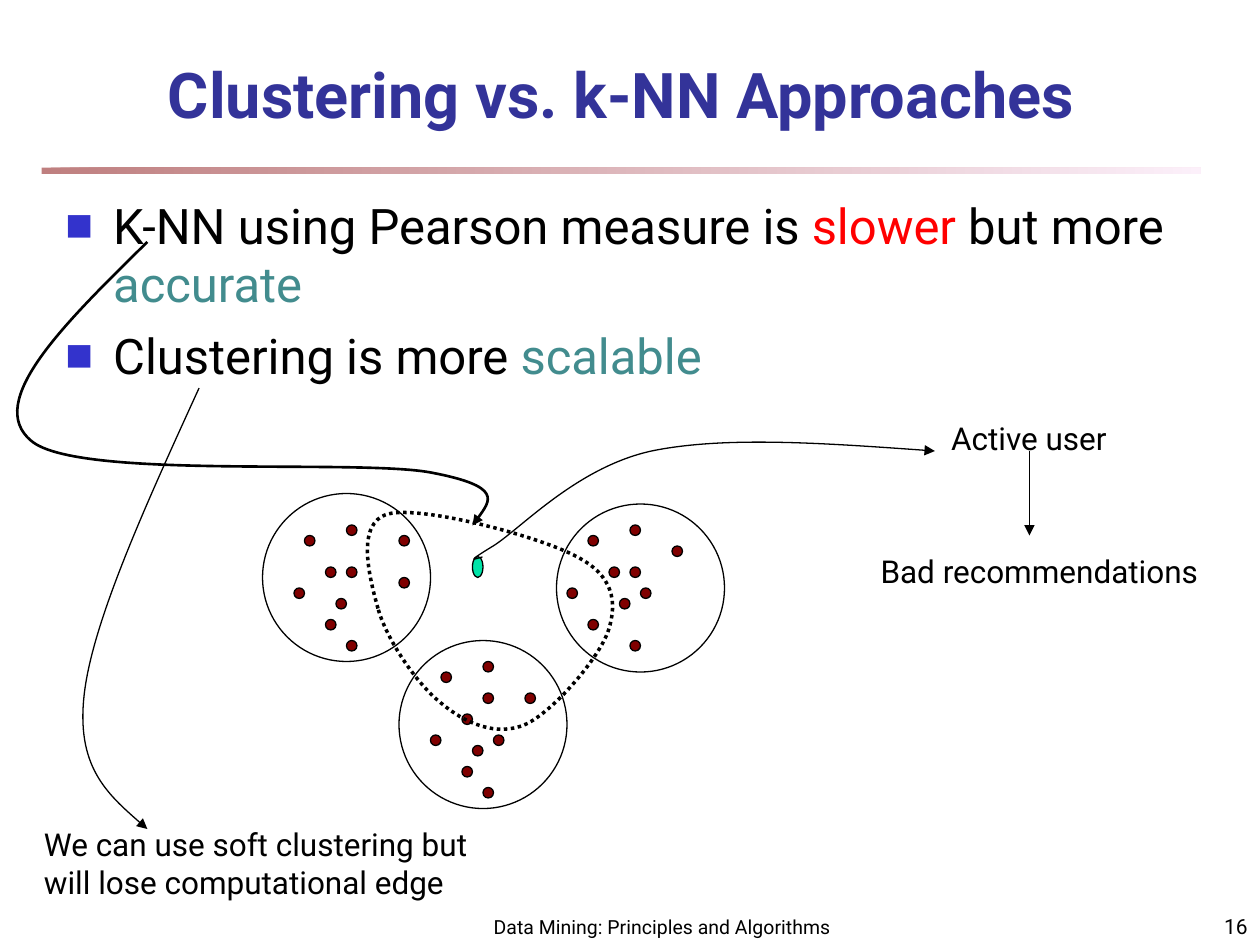
import pptx
import pptx.util
import pptx.dml.color
import pptx.enum.dml
import pptx.enum.shapes
import pptx.enum.text
import pptx.oxml.ns
from lxml import etree

Inches, Pt = pptx.util.Inches, pptx.util.Pt
RGBColor = pptx.dml.color.RGBColor
ALIGN, ANCHOR = pptx.enum.text.PP_ALIGN, pptx.enum.text.MSO_ANCHOR
SHAPE = pptx.enum.shapes.MSO_SHAPE
DASH = pptx.enum.dml.MSO_LINE
qn = pptx.oxml.ns.qn

FONT = "Roboto"
BLACK = RGBColor(0x00, 0x00, 0x00)
NAVY = RGBColor(0x33, 0x33, 0x99)
RED = RGBColor(0xFF, 0x00, 0x00)
TEAL = RGBColor(0x42, 0x8C, 0x8E)
MAROON = RGBColor(0x80, 0x00, 0x00)
PINK = RGBColor(0xFA, 0xE2, 0xF6)
GREEN = RGBColor(0x00, 0xE4, 0xA8)
BULLET = RGBColor(0x33, 0x33, 0xCC)

# Content
TITLE = "Clustering vs. k-NN Approaches"
BULLETS = [
    [("K-NN using Pearson measure is ", BLACK), ("slower", RED),
     (" but more ", BLACK), ("accurate", TEAL)],
    [("Clustering is more ", BLACK), ("scalable", TEAL)],
]
FOOTER, PAGE = "Data Mining: Principles and Algorithms", "16"
ACTIVE, BAD = "Active user", "Bad recommendations"
SOFT = "We can use soft clustering but will lose computational edge"

# Clusters lie on a grid of 1/12 inch; dots are relative to their cluster
GRID = 1 / 12
CLUSTER_SIZE = 16
CLUSTERS = [
    ((25, 47), [(4, 4), (3, 9), (8, 7), (7, 10), (13, 4),
                (8, 3), (6, 7), (6, 12), (13, 8), (8, 14)]),
    ((53, 48), [(3, 3), (1, 8), (7, 6), (6, 9), (11, 4),
                (7, 2), (5, 6), (3, 11), (8, 8), (7, 13)]),
    ((38, 61), [(4, 3), (3, 9), (8, 5), (7, 10), (12, 5),
                (8, 2), (6, 7), (6, 12), (9, 9), (8, 14)]),
]
ACTIVE_DOT = (45, 53)

# Curves in inches: start point, then three Bezier points per segment
TO_ACTIVE = [(3.83, 4.42), (3.76, 4.44), (3.69, 4.47), (3.92, 4.33),
             (4.14, 4.19), (4.58, 3.71), (5.17, 3.58),
             (5.75, 3.46), (6.58, 3.52), (7.42, 3.58)]
NEIGHBOURHOOD = [(3, 4.83), (2.93, 4.58), (2.82, 4.15), (3.08, 4.08),
                 (3.35, 4.01), (4.29, 4.26), (4.58, 4.42),
                 (4.87, 4.57), (4.9, 4.78), (4.83, 5),
                 (4.76, 5.22), (4.39, 5.65), (4.17, 5.75),
                 (3.94, 5.85), (3.69, 5.74), (3.5, 5.58),
                 (3.31, 5.43), (3.07, 5.08), (3, 4.83)]
FROM_KNN = [(1.17, 1.92), (0.52, 2.56), (-0.13, 3.19), (0.25, 3.5),
            (0.62, 3.81), (2.83, 3.64), (3.42, 3.75),
            (4, 3.86), (3.87, 4.01), (3.75, 4.17)]
TO_SOFT = [(1.58, 3.08), (1.16, 4), (0.74, 4.92), (0.67, 5.5),
           (0.6, 6.08), (0.88, 6.33), (1.17, 6.58)]

prs = pptx.Presentation()
prs.slide_width, prs.slide_height = Inches(10), Inches(7.5)
shapes = prs.slides.add_slide(prs.slide_layouts[6]).shapes


def add_text(paragraphs, at, size=18, color=BLACK, bold=False, align=ALIGN.LEFT,
             anchor=ANCHOR.TOP, wrap=True, before=0, bullet=False):
    """Add a text box; paragraphs is a string or lists of (text, colour) runs."""
    if isinstance(paragraphs, str):
        paragraphs = [[(paragraphs, color)]]
    tf = shapes.add_textbox(*map(Inches, at)).text_frame
    tf.word_wrap, tf.vertical_anchor = wrap, anchor
    for i, runs in enumerate(paragraphs):
        p = tf.add_paragraph() if i else tf.paragraphs[0]
        p.alignment, p.space_before = align, Pt(before)
        for text, run_color in runs:
            r = p.add_run()
            r.text = text
            r.font.name, r.font.size, r.font.bold = FONT, Pt(size), bold
            r.font.color.rgb = run_color
        if bullet:
            add_bullet(p)


def add_bullet(p):
    pPr = p._p.get_or_add_pPr()
    pPr.set("marL", str(Inches(0.38)))
    pPr.set("indent", str(-Inches(0.38)))
    clr = etree.SubElement(pPr, qn("a:buClr"))
    etree.SubElement(clr, qn("a:srgbClr"), val=str(BULLET))
    etree.SubElement(pPr, qn("a:buSzPct"), val="60000")
    etree.SubElement(pPr, qn("a:buFont"), typeface=FONT)
    etree.SubElement(pPr, qn("a:buChar"), char="■")


def style(sp, fill=None, width=0.75):
    sp.shadow.inherit = False
    if fill is None:
        sp.fill.background()
    else:
        sp.fill.solid()
        sp.fill.fore_color.rgb = fill
    sp.line.color.rgb, sp.line.width = BLACK, Pt(width)


def add_arrowhead(line):
    etree.SubElement(line._get_or_add_ln(), qn("a:tailEnd"), type="triangle")


def add_ellipse(x, y, w, h, fill=None):
    box = [Inches(v * GRID) for v in (x, y, w, h)]
    style(shapes.add_shape(SHAPE.OVAL, *box), fill)


def add_curve(points, width=0.75, closed=False):
    """Draw a freeform whose segments are cubic Bezier curves."""
    start, *rest = [(Inches(x), Inches(y)) for x, y in points]
    builder = shapes.build_freeform(*start)
    builder.add_line_segments(rest, close=closed)
    sp = builder.convert_to_shape()
    segments = list(sp._element.iter(qn("a:lnTo")))
    for i in range(0, len(rest), 3):
        curve = etree.Element(qn("a:cubicBezTo"))
        segments[i].addprevious(curve)
        for seg in segments[i:i + 3]:
            curve.append(seg[0])
            seg.getparent().remove(seg)
    style(sp, width=width)
    if closed:
        sp.line.dash_style = DASH.ROUND_DOT
    else:
        add_arrowhead(sp.line)


# Fading rule under the title
rule = shapes.add_shape(SHAPE.RECTANGLE, *map(Inches, (0.33, 1.33, 9.2, 0.05)))
rule.shadow.inherit = False
rule.line.fill.background()
rule.fill.gradient()
rule.fill.gradient_angle = 0
for stop, color, position in zip(rule.fill.gradient_stops, (MAROON, PINK), (0, 1)):
    stop.color.rgb, stop.position = color, position
for clr in rule._element.spPr.iter(qn("a:srgbClr")):
    etree.SubElement(clr, qn("a:alpha"), val="50000")

# Footer, title and bullets
add_text(FOOTER, (3.67, 7.08, 3.17, 0.42), size=11.1, align=ALIGN.CENTER,
         anchor=ANCHOR.BOTTOM)
add_text(PAGE, (7.92, 7.08, 2.08, 0.42), size=12, align=ALIGN.RIGHT,
         anchor=ANCHOR.BOTTOM)
add_text(TITLE, (0.67, 0.42, 8.52, 0.67), size=36, color=NAVY, bold=True,
         align=ALIGN.CENTER, anchor=ANCHOR.BOTTOM)
add_text(BULLETS, (0.42, 1.5, 9.17, 1.97), size=28, before=7, bullet=True)

# Clusters with their users, and the active user
for (left, top), dots in CLUSTERS:
    add_ellipse(left, top, CLUSTER_SIZE, CLUSTER_SIZE)
    for dx, dy in dots:
        add_ellipse(left + dx, top + dy, 1, 1, MAROON)
add_ellipse(*ACTIVE_DOT, 1, 2, GREEN)

# Active user and its recommendations
add_curve(TO_ACTIVE)
add_text(ACTIVE, (7.45, 3.28, 1.48, 0.4), wrap=False)
arrow = shapes.add_connector(pptx.enum.shapes.MSO_CONNECTOR.STRAIGHT,
                             *map(Inches, (8.17, 3.58, 8.17, 4.25)))
arrow.line.color.rgb, arrow.line.width = BLACK, Pt(0.75)
add_arrowhead(arrow.line)
etree.SubElement(arrow._element.spPr, qn("a:effectLst"))
add_text(BAD, (6.89, 4.33, 2.87, 0.4), wrap=False)

# Neighbourhood and soft clustering
add_curve(NEIGHBOURHOOD, width=2, closed=True)
add_curve(FROM_KNN, width=1.5)
add_text(SOFT, (0.25, 6.5, 3.67, 1), before=11.2)
add_curve(TO_SOFT)

prs.save("out.pptx")
